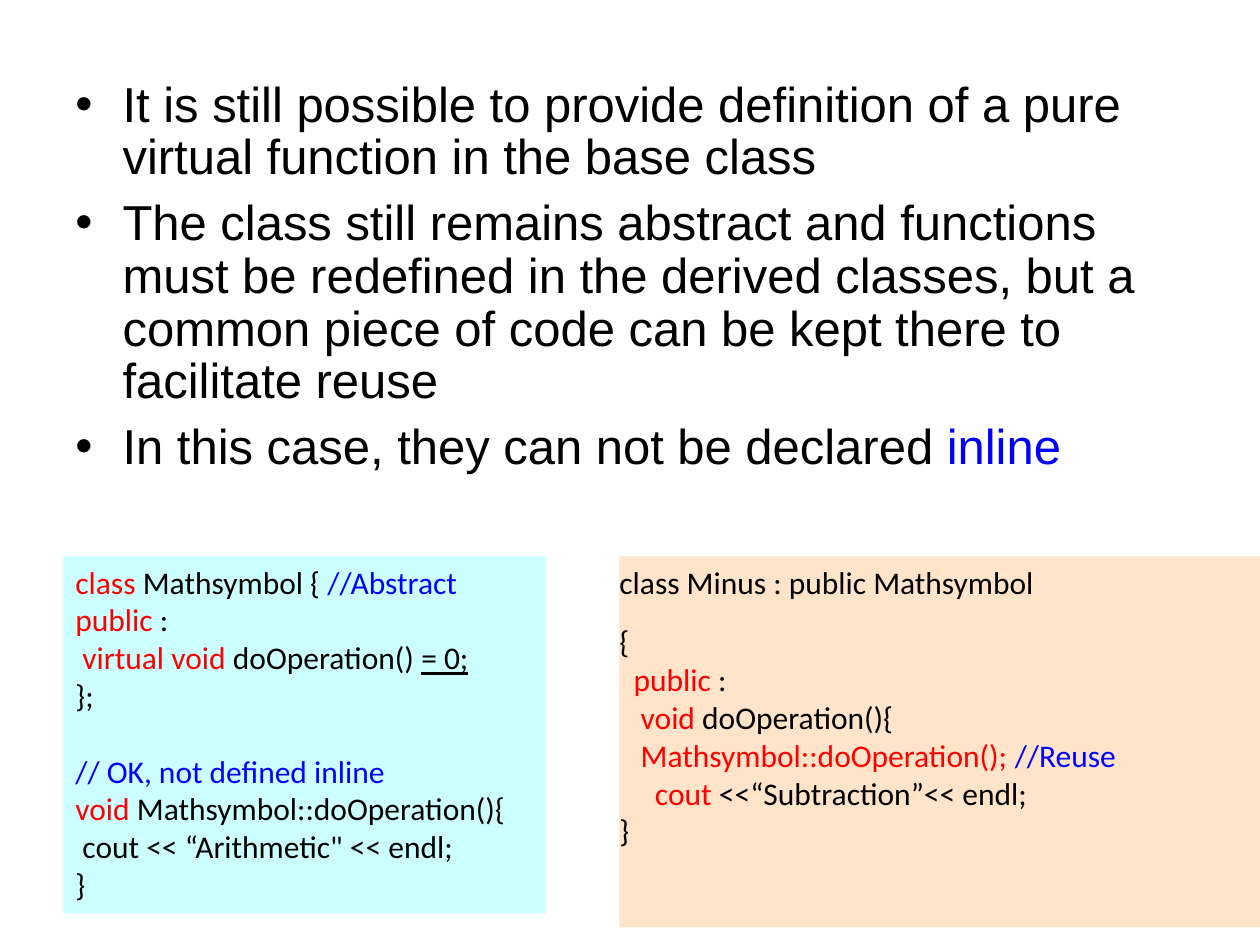
from lxml.etree import SubElement
from pptx import Presentation
from pptx.dml.color import RGBColor
from pptx.enum.shapes import MSO_SHAPE
from pptx.enum.text import MSO_ANCHOR, PP_ALIGN
from pptx.oxml.ns import qn
from pptx.util import Pt

HUES = {"text": "000000", "key": "FF0000", "note": "0000FF",
        "base": "CCFFFF", "child": "FFE4C9"}

POINTS = [
    [("It is still possible to provide definition of a pure virtual function in the base class", "text")],
    [("The class still remains abstract and functions must be redefined in the derived classes, "
      "but a common piece of code can be kept there to facilitate reuse", "text")],
    [("In this case, they can not be declared ", "text"), ("inline", "note")],
]

BASE = [
    [("class ", "key"), ("Mathsymbol { ", "text"), ("//Abstract", "note")],
    [("public", "key"), (" :", "text")],
    [(" virtual void ", "key"), ("doOperation() ", "text"), ("= 0;", "text", True)],
    [("};", "text")],
    [("// OK, not defined inline", "note")],
    [("void ", "key"), ("Mathsymbol::doOperation(){", "text")],
    [(" cout << “Arithmetic\" << endl;", "text")],
    [("}", "text")],
]

CHILD = [
    [("class Minus : public Mathsymbol", "text")],
    [("{", "text")],
    [("  public", "key"), (" :", "text")],
    [("   void ", "key"), ("doOperation(){", "text")],
    [("   Mathsymbol::doOperation(); ", "key"), ("//Reuse", "note")],
    [("     cout", "key"), (" <<“Subtraction”<< endl;", "text")],
    [("}", "text")],
]

PANELS = [
    {"lines": BASE, "fill": "base", "left": 36, "width": 276, "height": 204,
     "inset": 7.2, "gaps": {4: 21.6}},
    {"lines": CHILD, "fill": "child", "left": 354, "width": 366, "height": 212,
     "inset": 0, "gaps": {1: 12.5}},
]


def color(name):
    return RGBColor.from_string(HUES[name])


def write(frame, lines, face, size, gaps, bullet=False):
    frame.word_wrap = True
    frame.vertical_anchor = MSO_ANCHOR.TOP
    for i, line in enumerate(lines):
        para = frame.paragraphs[0] if i == 0 else frame.add_paragraph()
        para.alignment = PP_ALIGN.LEFT
        para.space_before = Pt(gaps.get(i, 0))
        if bullet:
            para.line_spacing = 0.9
            props = para._p.get_or_add_pPr()
            props.set("marL", str(Pt(27)))
            props.set("indent", str(-Pt(27)))
            SubElement(props, qn("a:buFont"), typeface="Arial")
            SubElement(props, qn("a:buChar"), char="•")
        para.font.name = face
        para.font.size = Pt(size)
        for text, hue, *under in line:
            run = para.add_run()
            run.text = text
            run.font.color.rgb = color(hue)
            if under:
                run.font.underline = True


deck = Presentation()
deck.slide_width, deck.slide_height = Pt(720), Pt(540)
slide = deck.slides.add_slide(deck.slide_layouts[6])

body = slide.shapes.add_textbox(Pt(36), Pt(42), Pt(654), Pt(252))
write(body.text_frame, POINTS, "Arial", 28, {1: 7, 2: 7}, True)

for panel in PANELS:
    box = slide.shapes.add_shape(MSO_SHAPE.RECTANGLE, Pt(panel["left"]), Pt(318),
                                 Pt(panel["width"]), Pt(panel["height"]))
    box.shadow.inherit = False
    box.fill.solid()
    box.fill.fore_color.rgb = color(panel["fill"])
    box.line.fill.background()
    frame = box.text_frame
    frame.margin_left = frame.margin_right = Pt(panel["inset"])
    write(frame, panel["lines"], "Calibri", 18, panel["gaps"])

deck.save("out.pptx")
